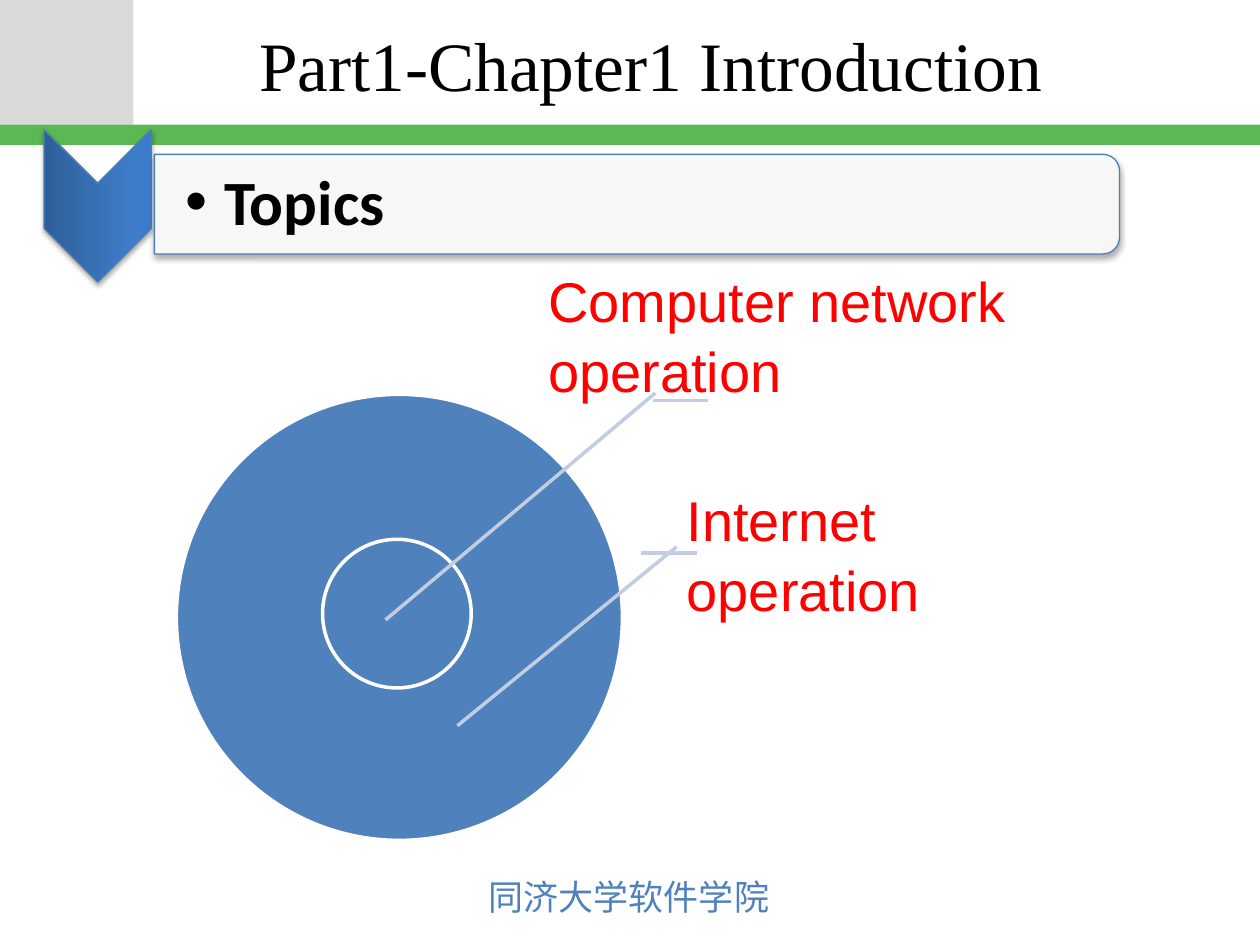
"""Build the Topics slide with its nested circles and two callouts."""
from dataclasses import dataclass
from typing import Optional

from lxml.etree import SubElement
from pptx import Presentation
from pptx.dml.color import RGBColor
from pptx.enum.shapes import MSO_CONNECTOR as Connector, MSO_SHAPE as Shape
from pptx.enum.text import MSO_ANCHOR as Anchor, MSO_AUTO_SIZE as AutoSize, PP_ALIGN as Align
from pptx.oxml import parse_xml
from pptx.oxml.ns import nsdecls, qn
from pptx.util import Pt

EMU_PER_PX = 9144
LINE_SPACING = 1.04


@dataclass(frozen=True)
class Theme:
    gray: str = "D9D9D9"
    green: str = "5AB953"
    blue: str = "4F81BD"
    outline: str = "4B7EBC"
    white: str = "FFFFFF"
    black: str = "000000"
    red: str = "FF0000"
    leader: str = "C2CDE1"
    chevron: tuple = ((0, "2F5F99"), (80, "3D7CC7"), (100, "3A7CCB"))
    thin: float = 0.75
    thick: float = 2
    title_size: float = 39.6
    topic_size: float = 36
    label_size: float = 32
    footer_size: float = 20


@dataclass(frozen=True)
class Box:
    left: int
    top: int
    width: int
    height: int

    def emu(self) -> tuple:
        return tuple(px(n) for n in (self.left, self.top, self.width, self.height))


@dataclass(frozen=True)
class TextStyle:
    font: str
    size: float
    color: str
    bold: bool = False


@dataclass(frozen=True)
class Callout:
    text: str
    box: Box
    bottom_inset: int
    bar: tuple
    leader: tuple


THEME = Theme()
LABEL = TextStyle("Arial", THEME.label_size, THEME.red)
CIRCLES = (Box(140, 313, 354, 354), Box(256, 428, 118, 118))
CALLOUTS = (
    Callout("Computer network operation", Box(410, 218, 463, 147), 57,
            (518, 318, 562, 318), (520, 312, 306, 492)),
    Callout("Internet operation", Box(520, 365, 243, 147), 4,
            (509, 439, 553, 439), (537, 434, 363, 576)),
)


def px(length: int) -> int:
    """Turn px into EMU."""
    return length * EMU_PER_PX


def add_shape(slide, kind, box: Box, fill: Optional[str] = None,
              line: Optional[str] = None, width: float = 0, rotation: int = 0):
    """Add a preset shape without theme effects."""
    shape = slide.shapes.add_shape(kind, *box.emu())
    shape.rotation = rotation
    shape.shadow.inherit = False
    if fill:
        shape.fill.solid()
        shape.fill.fore_color.rgb = RGBColor.from_string(fill)
    if line:
        shape.line.color.rgb = RGBColor.from_string(line)
        shape.line.width = Pt(width)
    else:
        shape.line.fill.background()
    return shape


def add_shadow(shape) -> None:
    """Give a shape a soft shadow straight below it."""
    effects = shape._element.spPr.find(qn("a:effectLst"))
    effects.append(parse_xml(
        f'<a:outerShdw {nsdecls("a")} blurRad="{Pt(3.1)}" dist="{Pt(1.8)}" dir="5400000" '
        f'rotWithShape="0"><a:srgbClr val="{THEME.black}"><a:alpha val="35000"/>'
        '</a:srgbClr></a:outerShdw>'))


def set_gradient(shape, stops: tuple) -> None:
    """Fill a shape with a linear gradient that turns with it."""
    stop_xml = "".join(f'<a:gs pos="{at * 1000}"><a:srgbClr val="{color}"/></a:gs>'
                       for at, color in stops)
    shape._element.spPr.find(qn("a:prstGeom")).addnext(parse_xml(
        f'<a:gradFill {nsdecls("a")} rotWithShape="1"><a:gsLst>{stop_xml}</a:gsLst>'
        '<a:lin ang="16200000" scaled="0"/></a:gradFill>'))


def write(paragraph, text: str, style: TextStyle) -> None:
    """Add one styled run to a paragraph."""
    run = paragraph.add_run()
    run.text = text
    run.font.name = style.font
    run.font.size = Pt(style.size)
    run.font.bold = style.bold
    run.font.color.rgb = RGBColor.from_string(style.color)
    SubElement(run._r.get_or_add_rPr(), qn("a:ea")).set("typeface", style.font)


def add_text(slide, box: Box, text: str, style: TextStyle,
             insets: tuple = (10, 5, 10, 5), anchor=Anchor.MIDDLE, wrap: bool = True):
    """Add a text box and return its paragraph."""
    frame = slide.shapes.add_textbox(*box.emu()).text_frame
    frame.word_wrap = wrap
    frame.vertical_anchor = anchor
    frame.margin_left, frame.margin_top, frame.margin_right, frame.margin_bottom = map(px, insets)
    write(frame.paragraphs[0], text, style)
    return frame.paragraphs[0]


def add_line(slide, ends: tuple) -> None:
    """Add a straight leader line."""
    line = slide.shapes.add_connector(Connector.STRAIGHT, *map(px, ends))
    line.line.color.rgb = RGBColor.from_string(THEME.leader)
    line.line.width = Pt(THEME.thick)
    SubElement(line._element.spPr, qn("a:effectLst"))


def add_title(slide, text: str) -> None:
    """Place and fill the title placeholder."""
    title = slide.shapes.title
    title.left, title.top, title.width, title.height = Box(174, 2, 685, 98).emu()
    frame = title.text_frame
    frame.auto_size = AutoSize.NONE
    frame.vertical_anchor = Anchor.MIDDLE
    frame.paragraphs[0].alignment = Align.CENTER
    write(frame.paragraphs[0], text, TextStyle("Times New Roman", THEME.title_size, THEME.black))


def add_topic(slide, text: str) -> None:
    """Add the chevron and the bulleted topic bar."""
    chevron = add_shape(slide, Shape.CHEVRON, Box(17, 121, 121, 85),
                        line=THEME.outline, width=THEME.thin, rotation=90)
    set_gradient(chevron, THEME.chevron)
    bar = add_shape(slide, Shape.ROUND_2_SAME_RECTANGLE, Box(466, -221, 79, 766),
                    THEME.white, THEME.outline, THEME.thin, 90)
    fill_color = bar._element.spPr.find(qn("a:solidFill")).find(qn("a:srgbClr"))
    SubElement(fill_color, qn("a:alpha")).set("val", "90000")
    for shape in (chevron, bar):
        add_shadow(shape)
    paragraph = add_text(slide, Box(122, 127, 763, 71), text,
                         TextStyle("Calibri", THEME.topic_size, THEME.black, True), (25, 2, 2, 2))
    paragraph.line_spacing = 0.9
    properties = paragraph._p.get_or_add_pPr()
    properties.set("marL", str(px(31)))
    properties.set("indent", str(px(-31)))
    SubElement(properties, qn("a:buFont")).set("typeface", "Arial")
    SubElement(properties, qn("a:buChar")).set("char", "•")


def add_callout(slide, callout: Callout) -> None:
    """Add a label with its bar and leader."""
    paragraph = add_text(slide, callout.box, callout.text, LABEL, (25, 4, 4, callout.bottom_inset))
    paragraph.line_spacing = LINE_SPACING
    add_line(slide, callout.bar)
    add_line(slide, callout.leader)


def main() -> None:
    """Build and save the presentation."""
    presentation = Presentation()
    presentation.slide_width, presentation.slide_height = px(1000), px(750)
    slide = presentation.slides.add_slide(presentation.slide_layouts[5])
    add_shape(slide, Shape.RECTANGLE, Box(0, 0, 106, 99), THEME.gray)
    add_shape(slide, Shape.RECTANGLE, Box(0, 99, 1000, 16), THEME.green)
    add_text(slide, Box(378, 690, 245, 44), "同济大学软件学院",
             TextStyle("Noto Sans CJK JP", THEME.footer_size, THEME.blue),
             anchor=Anchor.TOP, wrap=False)
    add_title(slide, "Part1-Chapter1 Introduction")
    add_topic(slide, "Topics")
    for circle in CIRCLES:
        add_shape(slide, Shape.OVAL, circle, THEME.blue, THEME.white, THEME.thick)
    for callout in CALLOUTS:
        add_callout(slide, callout)
    presentation.save("out.pptx")


if __name__ == "__main__":
    main()
